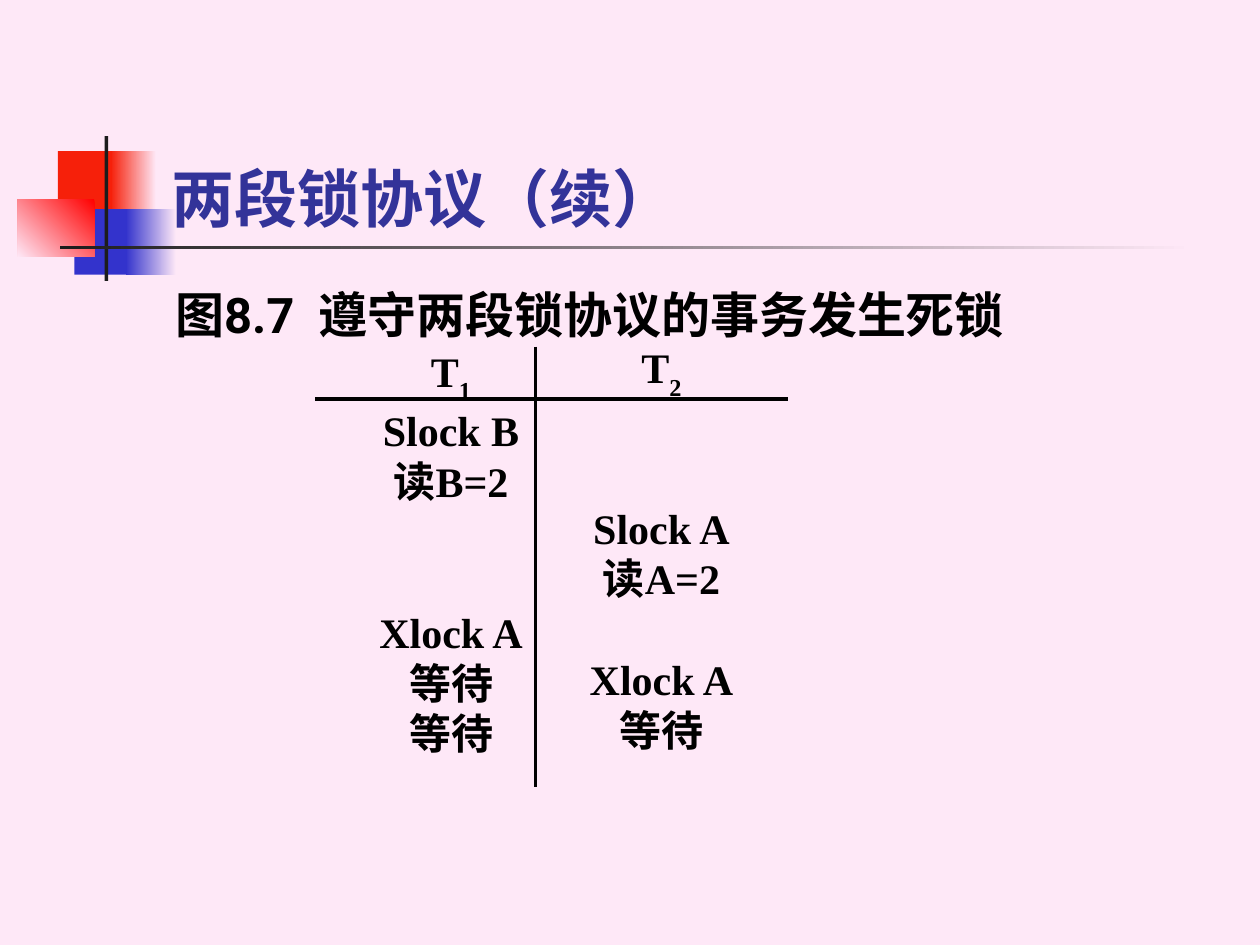
from dataclasses import dataclass

from lxml import etree
from pptx import Presentation
from pptx.dml.color import RGBColor
from pptx.enum.shapes import MSO_CONNECTOR, MSO_SHAPE
from pptx.enum.text import MSO_ANCHOR, PP_ALIGN
from pptx.oxml.ns import qn
from pptx.util import Inches, Pt

RECTANGLE = MSO_SHAPE.RECTANGLE
STRAIGHT = MSO_CONNECTOR.STRAIGHT
TOP, BOTTOM = MSO_ANCHOR.TOP, MSO_ANCHOR.BOTTOM
LEFT, CENTER = PP_ALIGN.LEFT, PP_ALIGN.CENTER

PINK, RED, BLUE, DARK, BLACK = "FEE8F7", "F6200A", "3333CC", "1C1C1C", "000000"
SANS, SERIF = "Roboto", "Times New Roman"
BLANK_ROW = 29  # points taken by one empty schedule row


@dataclass
class Area:
    """Place and size in percent of the slide."""
    left: float
    top: float
    width: float
    height: float


@dataclass
class Block:
    area: Area
    colors: tuple  # one colour is solid, two are a gradient
    angle: int = 180


@dataclass
class Step:
    text: str
    rows_before: int = 0


@dataclass
class Transaction:
    area: Area
    number: str
    steps: list


BLOCKS = [
    Block(Area(4.6, 16, 4.8, 6.93), (RED,)),
    Block(Area(8.8, 16, 3.6, 6.93), (PINK, RED)),
    Block(Area(5.9, 22.13, 4.6, 6.93), (BLUE,)),
    Block(Area(10, 22.13, 4, 6.93), (PINK, BLUE)),
    Block(Area(1.4, 21.07, 6.1, 6.13), ("FF0000", PINK), 225),
    Block(Area(8.3, 14.4, 0.3, 15.33), (DARK,)),
    Block(Area(4.8, 26, 90, 0.4), (PINK, DARK)),
]
TRANSACTIONS = [
    Transaction(Area(29.1, 35.87, 13.4, 52.27), "1", [
        Step("Slock B"), Step("读B=2"),
        Step("Xlock A", 2), Step("等待"), Step("等待")]),
    Transaction(Area(45.8, 35.47, 13.4, 52.27), "2", [
        Step("Slock A", 2), Step("读A=2"),
        Step("Xlock A", 1), Step("等待")]),
]
# Each rule is a line, so one of its two sizes is zero
TABLE_RULES = [Area(25, 42.27, 37.5, 0), Area(42.5, 36.67, 0, 46.66)]

deck = Presentation()
deck.slide_width, deck.slide_height = Inches(10), Inches(7.5)


def color(value: str) -> RGBColor:
    return RGBColor.from_string(value)


def across(percent: float) -> int:
    return int(deck.slide_width * percent / 100)


def down(percent: float) -> int:
    return int(deck.slide_height * percent / 100)


def bounds(area: Area) -> tuple:
    return across(area.left), down(area.top), across(area.width), down(area.height)


def format_para(para, size: int, font: str, ink: str, align) -> None:
    para.alignment = align
    for span in para.runs:
        span.font.size = Pt(size)
        span.font.name = font
        span.font.bold = True
        span.font.color.rgb = color(ink)


def draw_block(page, block: Block) -> None:
    shape = page.shapes.add_shape(RECTANGLE, *bounds(block.area))
    shape.shadow.inherit = False
    shape.line.fill.background()
    if len(block.colors) == 1:
        shape.fill.solid()
        shape.fill.fore_color.rgb = color(block.colors[0])
        return
    shape.fill.gradient()
    shape.fill.gradient_angle = block.angle
    for stop, value in zip(shape.fill.gradient_stops, block.colors):
        stop.color.rgb = color(value)


def fill_placeholder(page, box, area: Area, text: str, size: int, ink: str, anchor):
    page.shapes.element.append(box.element)  # in front of the blocks
    box.left, box.top, box.width, box.height = bounds(area)
    box.text_frame.text = text
    box.text_frame.vertical_anchor = anchor
    para = box.text_frame.paragraphs[0]
    format_para(para, size, SANS, ink, LEFT)
    return para


def draw_transaction(page, item: Transaction) -> None:
    frame = page.shapes.add_textbox(*bounds(item.area)).text_frame
    frame.word_wrap = False
    frame.vertical_anchor = TOP
    heading = frame.paragraphs[0]
    heading.text = "T"
    subscript = heading.add_run()
    subscript.text = item.number
    subscript.font._element.set("baseline", "-30000")
    format_para(heading, 24, SERIF, BLACK, CENTER)
    for step in item.steps:
        para = frame.add_paragraph()
        para.text = step.text
        para.space_before = Pt(step.rows_before * BLANK_ROW)
        format_para(para, 24, SERIF, BLACK, CENTER)


def draw_rule(page, area: Area) -> None:
    left, top, width, height = bounds(area)
    rule = page.shapes.add_connector(STRAIGHT, left, top, left + width, top + height)
    rule.line.color.rgb = color(BLACK)
    rule.line.width = Pt(2.25)
    etree.SubElement(rule.element.spPr, qn("a:effectLst"))


def main() -> None:
    page = deck.slides.add_slide(deck.slide_layouts[1])
    page.background.fill.solid()
    page.background.fill.fore_color.rgb = color(PINK)

    # Corner decoration
    for block in BLOCKS:
        draw_block(page, block)

    # Title and caption
    title, body = page.placeholders
    fill_placeholder(page, title, Area(12.6, 8.93, 85.2, 16.67),
                     "两段锁协议（续）", 36, "333399", BOTTOM)
    caption = fill_placeholder(page, body, Area(12.9, 29.47, 85, 60),
                               "图8.7  遵守两段锁协议的事务发生死锁", 28, BLACK, TOP)
    caption.space_before = Pt(7)
    properties = caption._p.get_or_add_pPr()
    properties.set("marL", str(Inches(0.38)))
    properties.set("indent", str(Inches(-0.38)))
    etree.SubElement(properties, qn("a:buNone"))

    # Schedule of the two transactions
    for item in TRANSACTIONS:
        draw_transaction(page, item)
    for area in TABLE_RULES:
        draw_rule(page, area)

    deck.save("out.pptx")


if __name__ == "__main__":
    main()
